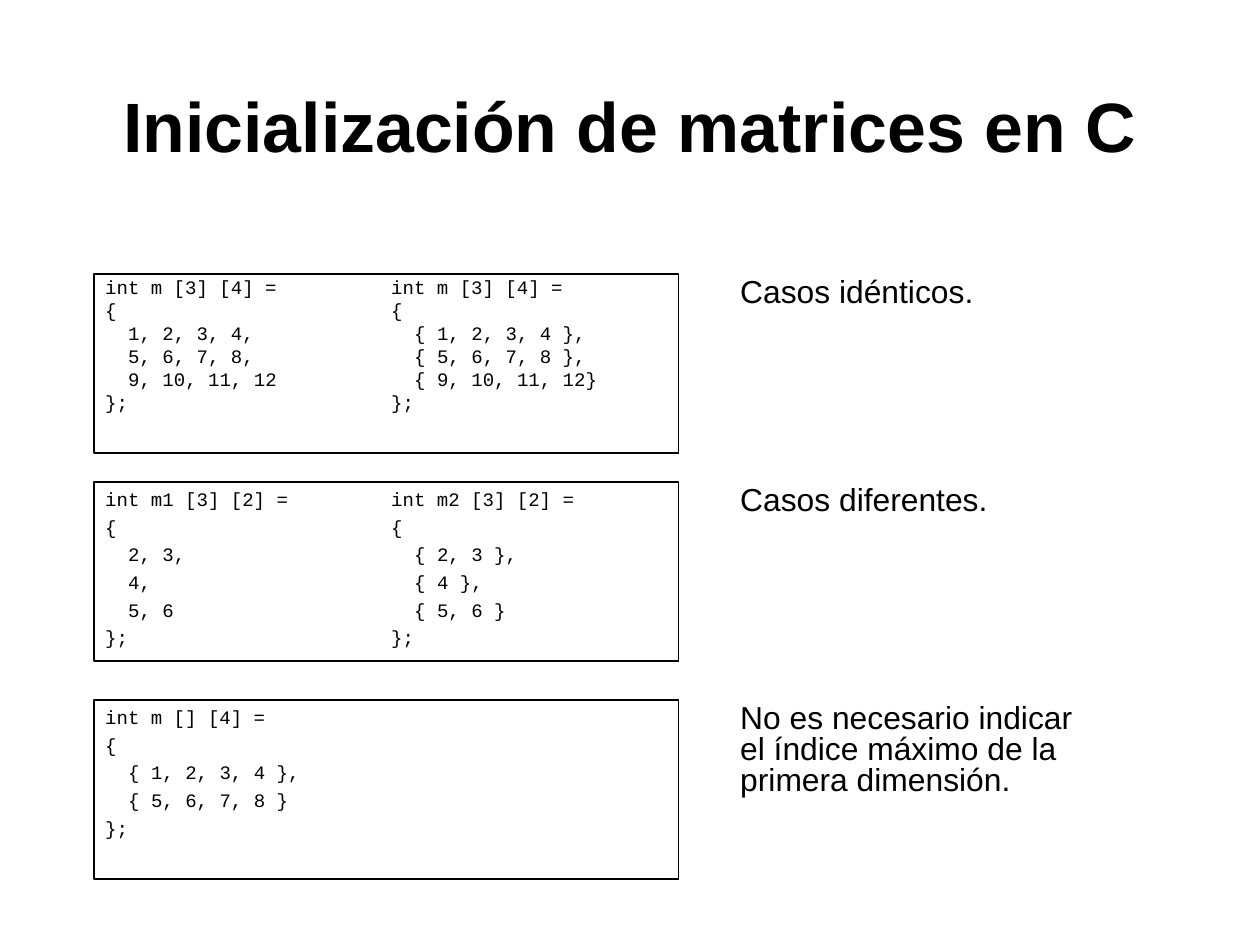
import pptx
import pptx.dml.color
import pptx.enum.shapes
import pptx.enum.text
import pptx.oxml.ns
import pptx.util
from lxml import etree

PX = 8000
COLORS = {"ink": "000000"}
INDENT, COLUMN = 23, 286
BOX_WIDTH, BOX_HEIGHT = 585, 179
CASES = [
    (274, 0.8, "Casos idénticos.", [
        "int m [3] [4] =\tint m [3] [4] =",
        "{\t{",
        "\t1, 2, 3, 4,\t{ 1, 2, 3, 4 },",
        "\t5, 6, 7, 8,\t{ 5, 6, 7, 8 },",
        "\t9, 10, 11, 12\t{ 9, 10, 11, 12}",
        "};\t};",
    ]),
    (482, 1.0, "Casos diferentes.", [
        "int m1 [3] [2] =\tint m2 [3] [2] =",
        "{\t{",
        "\t2, 3,\t{ 2, 3 },",
        "\t4,\t{ 4 },",
        "\t5, 6\t{ 5, 6 }",
        "};\t};",
    ]),
    (700, 1.0, "No es necesario indicar el índice máximo de la primera dimensión.", [
        "int m [] [4] =",
        "{",
        "\t{ 1, 2, 3, 4 },",
        "\t{ 5, 6, 7, 8 }",
        "};",
    ]),
]


def color(name):
    """Return a named colour."""
    return pptx.dml.color.RGBColor.from_string(COLORS[name])


def area(*lengths):
    """Turn pixel lengths into EMU."""
    return [pptx.util.Emu(length * PX) for length in lengths]


def format_runs(para, font, size, bold=False):
    """Set the font of every run in a paragraph."""
    for span in para.runs:
        span.font.name = font
        span.font.size = pptx.util.Pt(size)
        span.font.bold = bold
        span.font.color.rgb = color("ink")


def set_tabs(para, stops):
    """Give a paragraph left tab stops."""
    tabs = etree.SubElement(para._p.get_or_add_pPr(), pptx.oxml.ns.qn("a:tabLst"))
    for stop in stops:
        etree.SubElement(tabs, pptx.oxml.ns.qn("a:tab"), pos=str(stop * PX), algn="l")


def add_text(page, place, text, size, bold=False):
    """Add a wrapped text box and return its frame."""
    frame = page.shapes.add_textbox(*area(*place)).text_frame
    frame.word_wrap = True
    frame.text = text
    format_runs(frame.paragraphs[0], "Arial", size, bold)
    return frame


def add_title(page, text):
    """Add the centred slide title."""
    frame = add_text(page, (95, 26, 1071, 198), text, 44, True)
    frame.vertical_anchor = pptx.enum.text.MSO_ANCHOR.MIDDLE
    frame.paragraphs[0].alignment = pptx.enum.text.PP_ALIGN.CENTER


def add_code(page, top, spacing, lines):
    """Add an outlined box of code in tabbed columns."""
    box = page.shapes.add_shape(
        pptx.enum.shapes.MSO_SHAPE.RECTANGLE, *area(94, top, BOX_WIDTH, BOX_HEIGHT))
    box.shadow.inherit = False
    box.fill.background()
    box.line.color.rgb = color("ink")
    box.line.width = pptx.util.Pt(0.75)
    frame = box.text_frame
    frame.word_wrap = True
    frame.vertical_anchor = pptx.enum.text.MSO_ANCHOR.TOP
    frame.text = "\n".join(lines)
    for index, para in enumerate(frame.paragraphs):
        para.alignment = pptx.enum.text.PP_ALIGN.LEFT
        para.line_spacing = spacing
        para.space_before = pptx.util.Pt(3 if index else 0)
        indented = lines[index].startswith("\t")
        set_tabs(para, [INDENT, COLUMN + INDENT] if indented else [COLUMN])
        format_runs(para, "Courier New", 12)


def add_note(page, top, text):
    """Add the remark beside a code box."""
    frame = add_text(page, (729, top, 386, BOX_HEIGHT), text, 20)
    frame.paragraphs[0].line_spacing = 0.8


def main():
    """Build and save the slide."""
    deck = pptx.Presentation()
    deck.slide_width, deck.slide_height = area(1260, 945)
    page = deck.slides.add_slide(deck.slide_layouts[6])
    add_title(page, "Inicialización de matrices en C")
    for top, spacing, note, lines in CASES:
        add_code(page, top, spacing, lines)
        add_note(page, top, note)
    deck.save("out.pptx")


if __name__ == "__main__":
    main()
